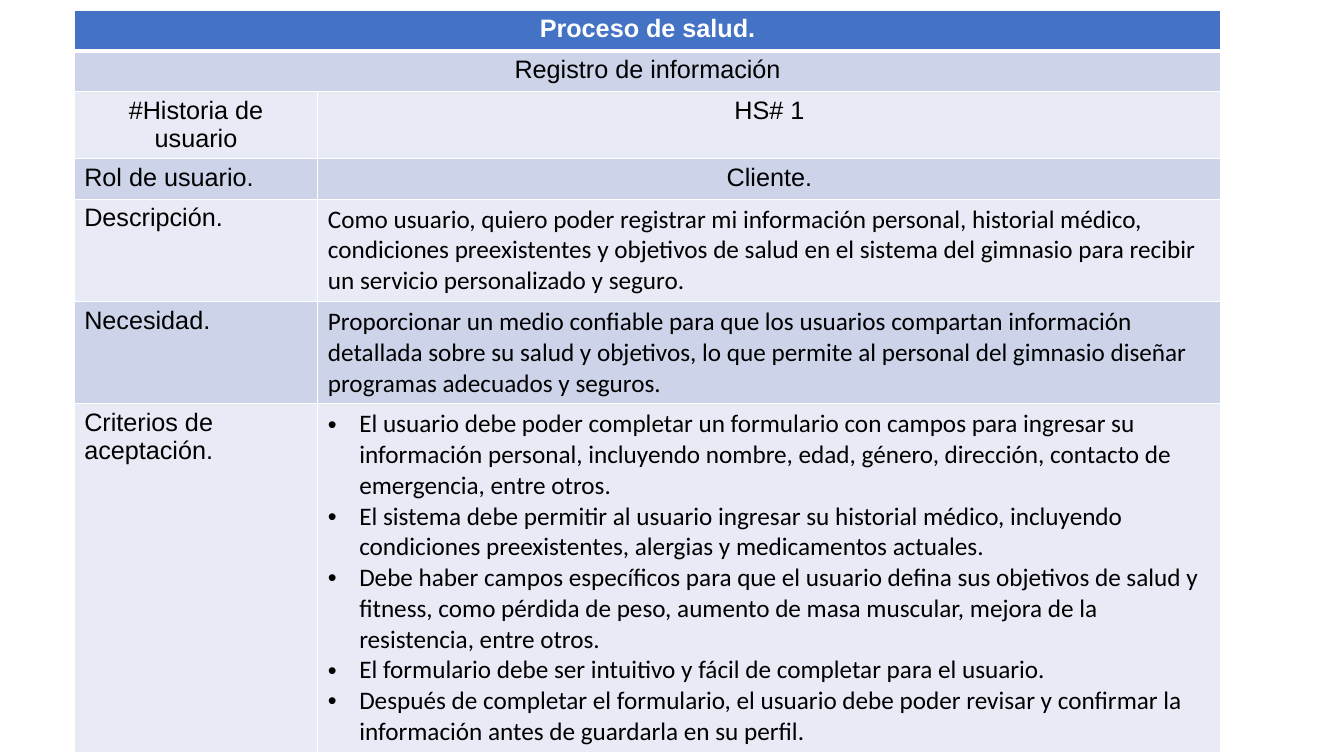
from lxml import etree
from pptx import Presentation
from pptx.dml.color import RGBColor
from pptx.enum.text import PP_ALIGN
from pptx.oxml.ns import qn
from pptx.util import Cm, Pt

LEFT, MID = PP_ALIGN.LEFT, PP_ALIGN.CENTER
WHITE = RGBColor(0xFF, 0xFF, 0xFF)
BLACK = RGBColor(0x00, 0x00, 0x00)
BLUE = RGBColor(0x44, 0x72, 0xC4)
BANDS = (RGBColor(0xE8, 0xEB, 0xF5), RGBColor(0xCD, 0xD4, 0xEA))

# Content: each cell is (lines, format name)
FORMS = {
    "head": {"font": "Arial", "align": MID},
    "label": {"font": "Arial", "align": LEFT},
    "body": {"font": "Calibri", "align": LEFT},
    "list": {"font": "Calibri", "align": LEFT},
}
ROWS = [
    [(["Proceso de salud."], "head")],
    [(["Registro de información"], "head")],
    [(["#Historia de usuario"], "head"), (["HS# 1"], "head")],
    [(["Rol de usuario."], "label"), (["Cliente."], "head")],
    [(["Descripción."], "label"),
     (["Como usuario, quiero poder registrar mi información personal, "
       "historial médico, condiciones preexistentes y objetivos de salud en "
       "el sistema del gimnasio para recibir un servicio personalizado y "
       "seguro."], "body")],
    [(["Necesidad."], "label"),
     (["Proporcionar un medio confiable para que los usuarios compartan "
       "información detallada sobre su salud y objetivos, lo que permite al "
       "personal del gimnasio diseñar programas adecuados y seguros."],
      "body")],
    [(["Criterios de aceptación."], "label"),
     (["El usuario debe poder completar un formulario con campos para "
       "ingresar su información personal, incluyendo nombre, edad, género, "
       "dirección, contacto de emergencia, entre otros.",
       "El sistema debe permitir al usuario ingresar su historial médico, "
       "incluyendo condiciones preexistentes, alergias y medicamentos "
       "actuales.",
       "Debe haber campos específicos para que el usuario defina sus "
       "objetivos de salud y fitness, como pérdida de peso, aumento de masa "
       "muscular, mejora de la resistencia, entre otros.",
       "El formulario debe ser intuitivo y fácil de completar para el "
       "usuario.",
       "Después de completar el formulario, el usuario debe poder revisar y "
       "confirmar la información antes de guardarla en su perfil."],
      "list")],
]
WIDTHS = (Cm(6.14), Cm(22.76))
HIGH = Cm(1.03)
INDENT = Cm(0.79)


def add_edges(cell, row):
    """White lines on all sides, thicker under the header row."""
    props = cell._tc.get_or_add_tcPr()
    for side in "LRTB":
        thick = (side, row) in (("B", 0), ("T", 1))
        line = etree.SubElement(props, qn(f"a:ln{side}"),
                                w=str(Pt(3 if thick else 1)))
        fill = etree.SubElement(line, qn("a:solidFill"))
        etree.SubElement(fill, qn("a:srgbClr"), val=str(WHITE))


def add_bullet(para):
    props = para._p.get_or_add_pPr()
    props.set("marL", str(INDENT))
    props.set("indent", str(-INDENT))
    color = etree.SubElement(props, qn("a:buClr"))
    etree.SubElement(color, qn("a:srgbClr"), val=str(BLACK))
    etree.SubElement(props, qn("a:buFont"), typeface="Arial")
    etree.SubElement(props, qn("a:buChar"), char="•")


def write(cell, lines, kind, row):
    form = FORMS[kind]
    style = {"name": form["font"], "size": Pt(18), "bold": row == 0}
    frame = cell.text_frame
    for i, text in enumerate(lines):
        para = frame.add_paragraph() if i else frame.paragraphs[0]
        para.alignment = form["align"]
        if kind == "list":
            add_bullet(para)
        run = para.add_run()
        run.text = text
        for key, value in style.items():
            setattr(run.font, key, value)
        run.font.color.rgb = BLACK if row else WHITE


def main():
    deck = Presentation()
    deck.slide_width, deck.slide_height = Cm(33.87), Cm(19.05)
    slide = deck.slides.add_slide(deck.slide_layouts[6])

    # Table frame
    table = slide.shapes.add_table(
        len(ROWS), len(WIDTHS), Cm(1.87), Cm(0.25),
        sum(WIDTHS), HIGH * len(ROWS)).table
    for col, width in zip(table.columns, WIDTHS):
        col.width = width

    # Cells
    for r, items in enumerate(ROWS):
        table.rows[r].height = HIGH
        for c in range(len(WIDTHS)):
            cell = table.cell(r, c)
            add_edges(cell, r)
            cell.fill.solid()
            cell.fill.fore_color.rgb = BANDS[r % 2] if r else BLUE
        if len(items) == 1:
            table.cell(r, 0).merge(table.cell(r, 1))
        for c, (lines, kind) in enumerate(items):
            write(table.cell(r, c), lines, kind, r)

    deck.save("out.pptx")


if __name__ == "__main__":
    main()
